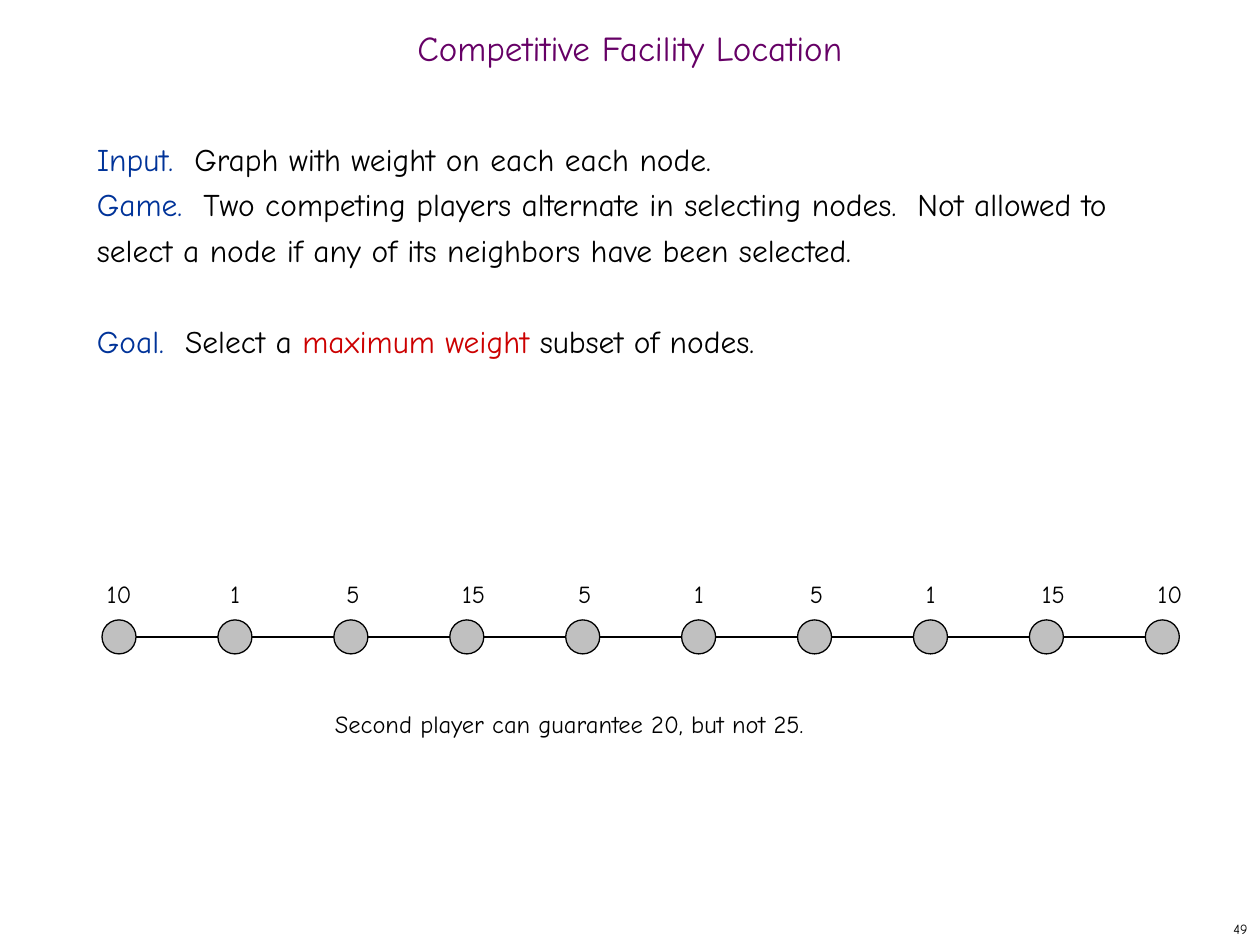
from pptx import Presentation
from pptx import util as u
from pptx.dml.color import RGBColor
from pptx.enum import shapes, text
from lxml import etree

COLORS = {"black": "000000", "title": "660066", "term": "003399",
          "accent": "CC0000", "node": "C0C0C0"}
FONT = "Comic Neue"
W, H = 10, 7.5
PITCH = 0.092 * W
NODE = 0.27
LEFT, TOP = 0.081 * W, 0.656 * H
MID = TOP + NODE / 2

prs = Presentation()
prs.slide_width, prs.slide_height = u.Inches(W), u.Inches(H)
s = prs.slides.add_slide(prs.slide_layouts[6])


def add_text(paragraphs, x, y, w, h, size=14, align="LEFT", anchor="TOP",
             wrap=True, spacing=None, gaps=()):
    tf = s.shapes.add_textbox(*map(u.Inches, (x, y, w, h))).text_frame
    tf.word_wrap = wrap
    tf.vertical_anchor = text.MSO_ANCHOR[anchor]
    for i, runs in enumerate(paragraphs):
        p = tf.paragraphs[0] if i == 0 else tf.add_paragraph()
        p.alignment = text.PP_ALIGN[align]
        if spacing:
            p.line_spacing = spacing
        if i in gaps:
            p.space_before = spacing
        for words, color in runs:
            r = p.add_run()
            r.text = words
            r.font.name, r.font.size = FONT, u.Pt(size)
            r.font.color.rgb = RGBColor.from_string(COLORS[color])


add_text([[("49", "black")]], 7.92, H - 0.25, 2.08, 0.25, size=8,
         align="RIGHT", anchor="MIDDLE", wrap=False)
add_text([[("Competitive Facility Location", "title")]], 0, 0.17, W, 0.5,
         size=20, align="CENTER", anchor="MIDDLE", spacing=0.7)

body = [
    [("Input.  ", "term"), ("Graph with weight on each each node.", "black")],
    [("Game.  ", "term"),
     ("Two competing players alternate in selecting nodes.  Not allowed to "
      "select a node if any of its neighbors have been selected.", "black")],
    [("Goal.  ", "term"), ("Select a ", "black"),
     ("maximum weight", "accent"), (" subset of nodes.", "black")],
]
add_text(body, 0.67, 1, 8.58, 5.92, size=18, spacing=u.Pt(26), gaps=(2,))

weights = [10, 1, 5, 15, 5, 1, 5, 1, 15, 10]
label_widths = {1: 0.28, 5: 0.31, 10: 0.4, 15: 0.39}
for i, weight in enumerate(weights):
    x = LEFT + i * PITCH
    sp = s.shapes.add_shape(shapes.MSO_SHAPE.OVAL,
                            *map(u.Inches, (x, TOP, NODE, NODE)))
    sp.shadow.inherit = False
    sp.fill.solid()
    sp.fill.fore_color.rgb = RGBColor.from_string(COLORS["node"])
    sp.line.color.rgb = RGBColor.from_string(COLORS["black"])
    sp.line.width = u.Pt(0.75)
    if i:
        edge = s.shapes.add_connector(
            shapes.MSO_CONNECTOR.STRAIGHT,
            *map(u.Inches, (x - PITCH + NODE, MID, x, MID)))
        edge.line.color.rgb = RGBColor.from_string(COLORS["black"])
        edge.line.width = u.Pt(0.75)
        etree.SubElement(
            edge._element.spPr,
            "{http://schemas.openxmlformats.org/drawingml/2006/main}effectLst")
    label_x = x if i else x - 0.06
    add_text([[(str(weight), "black")]], label_x, TOP - 0.37,
             label_widths[weight], 0.33, wrap=False)

add_text([[("Second player can guarantee 20, but not 25.", "black")]],
         2.56, 5.58, 3.94, 0.33, wrap=False)

prs.save("out.pptx")
